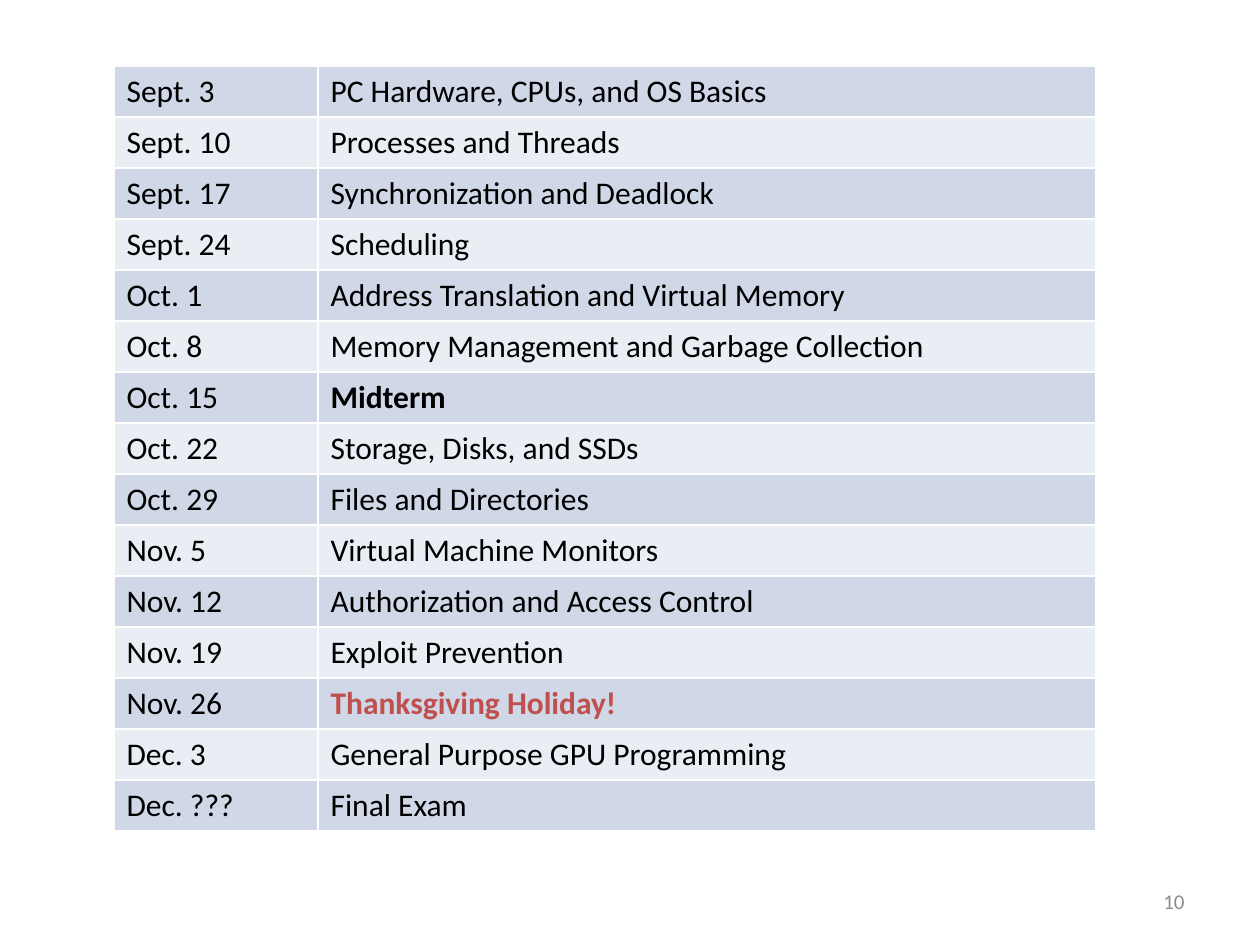
import pptx
import pptx.util
import pptx.dml.color
import pptx.enum.text
import pptx.oxml
import pptx.oxml.ns

RGBColor = pptx.dml.color.RGBColor
BLACK = RGBColor(0x00, 0x00, 0x00)
RED = RGBColor(0xC0, 0x50, 0x4D)
GREY = RGBColor(0x8C, 0x8C, 0x8C)
WHITE = RGBColor(0xFF, 0xFF, 0xFF)
BANDS = [RGBColor(0xD0, 0xD8, 0xE8), RGBColor(0xE9, 0xED, 0xF4)]
FONT = "Calibri"

SCHEDULE = [
    ("Sept. 3", "PC Hardware, CPUs, and OS Basics"),
    ("Sept. 10", "Processes and Threads"),
    ("Sept. 17", "Synchronization and Deadlock"),
    ("Sept. 24", "Scheduling"),
    ("Oct. 1", "Address Translation and Virtual Memory"),
    ("Oct. 8", "Memory Management and Garbage Collection"),
    ("Oct. 15", "Midterm"),
    ("Oct. 22", "Storage, Disks, and SSDs"),
    ("Oct. 29", "Files and Directories"),
    ("Nov. 5", "Virtual Machine Monitors"),
    ("Nov. 12", "Authorization and Access Control"),
    ("Nov. 19", "Exploit Prevention"),
    ("Nov. 26", "Thanksgiving Holiday!"),
    ("Dec. 3", "General Purpose GPU Programming"),
    ("Dec. ???", "Final Exam"),
]
HIGHLIGHTS = {"Midterm": BLACK, "Thanksgiving Holiday!": RED}
PAGE_NUMBER = "10"

COLUMN_WIDTHS = [204, 778]
ROW_HEIGHT = 51


def px(length):
    return pptx.util.Emu(round(length * 914400 / 126))


def add_run(paragraph, text, size, color, bold=False):
    run = paragraph.add_run()
    run.text = text
    run.font.name = FONT
    run.font.size = pptx.util.Pt(size)
    run.font.color.rgb = color
    run.font.bold = bold


def add_borders(cell):
    """Put a thin white line on every side, ahead of the cell's fill."""
    properties = cell._tc.get_or_add_tcPr()
    for position, side in enumerate(("lnL", "lnR", "lnT", "lnB")):
        properties.insert(position, pptx.oxml.parse_xml(
            f'<a:{side} {pptx.oxml.ns.nsdecls("a")} w="12700"><a:solidFill>'
            f'<a:srgbClr val="{WHITE}"/></a:solidFill></a:{side}>'))


deck = pptx.Presentation()
deck.slide_width, deck.slide_height = px(1260), px(945)
slide = deck.slides.add_slide(deck.slide_layouts[6])

# Page number
page_box = slide.shapes.add_textbox(px(903), px(876), px(294), px(50))
page_box.text_frame.word_wrap = True
page_box.text_frame.vertical_anchor = pptx.enum.text.MSO_ANCHOR.MIDDLE
page_line = page_box.text_frame.paragraphs[0]
page_line.alignment = pptx.enum.text.PP_ALIGN.RIGHT
add_run(page_line, PAGE_NUMBER, 12, GREY)

# Course schedule
schedule = slide.shapes.add_table(
    len(SCHEDULE), len(COLUMN_WIDTHS), px(114), px(66),
    px(sum(COLUMN_WIDTHS)), px(ROW_HEIGHT * len(SCHEDULE))).table
schedule.first_row = False
for column, width in zip(schedule.columns, COLUMN_WIDTHS):
    column.width = px(width)

for row_index, entry in enumerate(SCHEDULE):
    schedule.rows[row_index].height = px(ROW_HEIGHT)
    for column_index, text in enumerate(entry):
        cell = schedule.cell(row_index, column_index)
        cell.fill.solid()
        cell.fill.fore_color.rgb = BANDS[row_index % 2]
        add_borders(cell)
        add_run(cell.text_frame.paragraphs[0], text, 18,
                HIGHLIGHTS.get(text, BLACK), text in HIGHLIGHTS)

deck.save("out.pptx")
